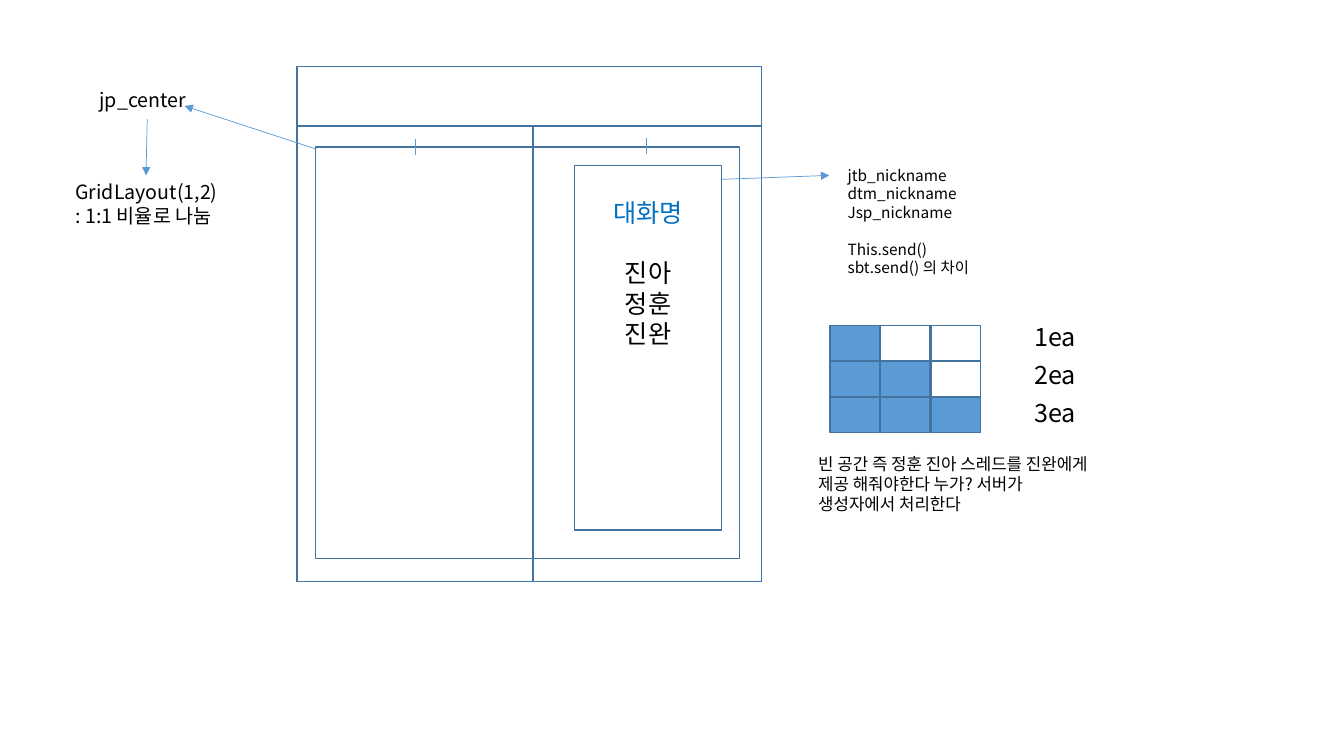
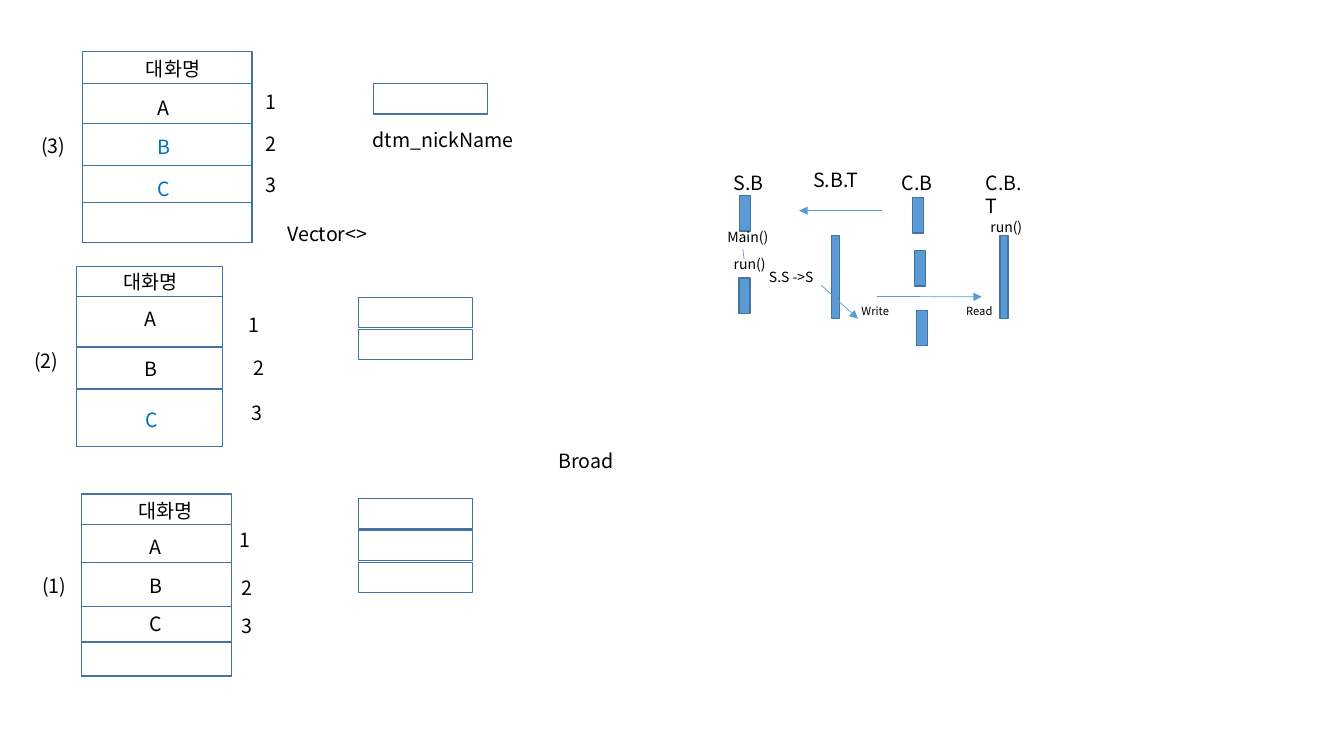
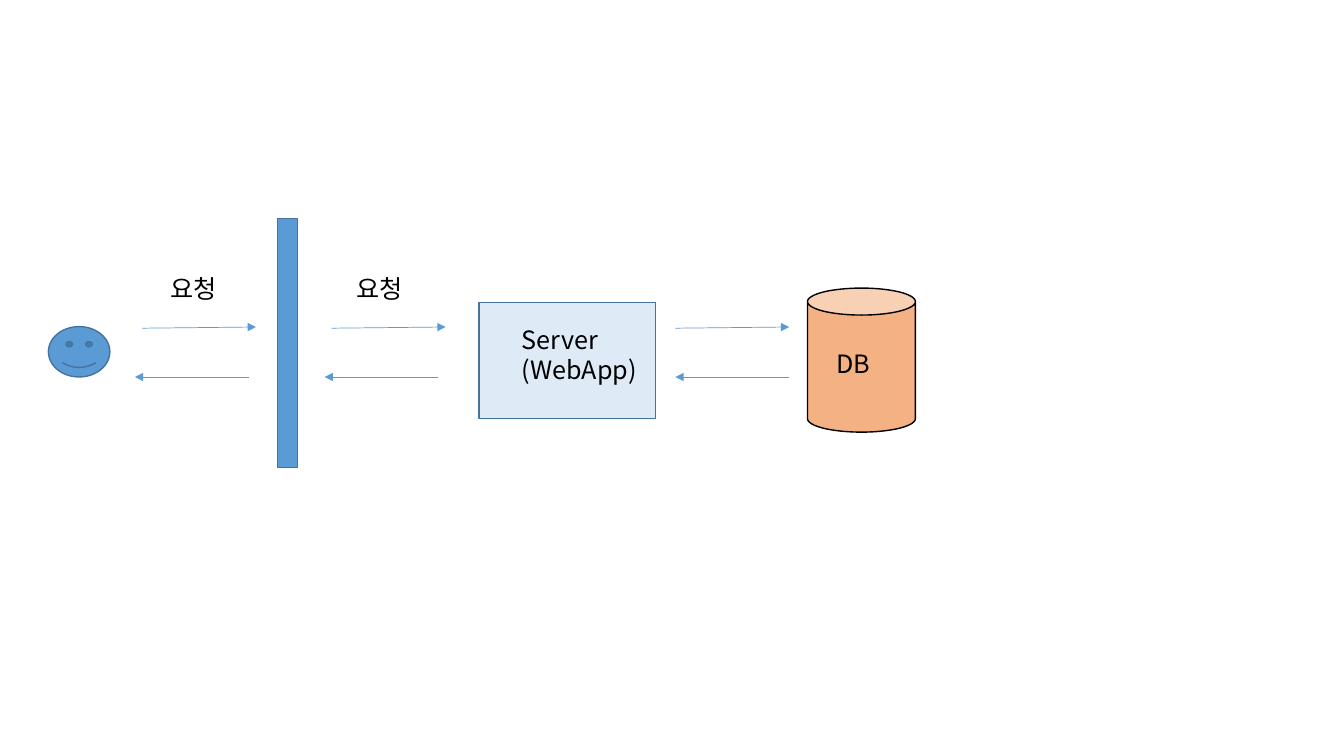
from lxml.etree import SubElement
from pptx import Presentation
from pptx.dml.color import RGBColor
from pptx.enum.shapes import MSO_CONNECTOR, MSO_SHAPE as Preset
from pptx.enum.text import MSO_ANCHOR, PP_ALIGN
from pptx.oxml.ns import qn
from pptx.util import Cm, Pt

FONT = "Noto Sans CJK KR"
BLACK = RGBColor(0x00, 0x00, 0x00)
WHITE = RGBColor(0xFF, 0xFF, 0xFF)
ACCENT = RGBColor(0x5B, 0x9B, 0xD5)
OUTLINE = RGBColor(0x43, 0x73, 0x9E)
HIGHLIGHT = RGBColor(0x00, 0x70, 0xC0)
PALE_BLUE = RGBColor(0xDE, 0xEB, 0xF7)
ORANGE = RGBColor(0xF4, 0xB1, 0x83)
LINE_FACTOR = 1.2

WINDOW_PANES = [
    (7.49, 1.68, 11.71, 12.98),
    (7.49, 3.18, 11.71, 11.48),
    (7.49, 3.18, 5.94, 11.48),
    (13.43, 3.18, 5.77, 11.48),
    (7.95, 3.71, 10.69, 10.36),
]
NICKNAME_PANE = (14.48, 4.17, 3.71, 9.19)
NICKNAMES = "대화명\n\n진아\n정훈\n진완"
WINDOW_NOTES = [
    ("jtb_nickname\ndtm_nickname\nJsp_nickname\n\nThis.send()\nsbt.send() 의 차이", 21.11, 4.06, 7.06, 11),
    ("jp_center", 2.26, 2.08, 3.18, 14),
    ("GridLayout(1,2)\n: 1:1 비율로 나눔", 1.65, 4.42, 4.42, 14),
    ("빈 공간 즉 정훈 진아 스레드를 진완에게 제공 해줘야한다 누가? 서버가 생성자에서 처리한다", 20.37, 11.3, 7.47, 12),
]
WINDOW_ARROWS = [
    (18.19, 4.52, 20.9, 4.42),
    (7.98, 3.76, 4.65, 2.67),
    (3.71, 3.0, 3.68, 4.42),
]
EQUAL_MARKS = [(10.46, 3.51), (16.28, 3.48)]
THREAD_COUNTS = ["1ea", "2ea", "3ea"]

NICKNAME_LISTS = [
    dict(left=2.08, width=4.27, tops=[1.3, 2.11, 3.12, 4.17, 5.11], bottom=6.12,
         label=("(3)", 0.79, 3.25),
         names=[("대화명", 3.43, 1.3), ("A", 3.73, 2.29), ("B", 3.73, 3.28), ("C", 3.73, 4.32)],
         new="BC", numbers=[(6.45, 2.13), (6.45, 3.2), (6.45, 4.24)]),
    dict(left=1.93, width=3.68, tops=[6.71, 7.47, 8.74, 9.8], bottom=11.25,
         label=("(2)", 0.61, 8.66),
         names=[("대화명", 2.87, 6.68), ("A", 3.4, 7.62), ("B", 3.4, 8.86), ("C", 3.42, 10.16)],
         new="C", numbers=[(6.02, 7.77), (6.15, 8.84), (6.1, 9.98)]),
    dict(left=2.06, width=3.78, tops=[12.45, 13.21, 14.17, 15.29, 16.18], bottom=17.04,
         label=("(1)", 0.81, 14.33),
         names=[("대화명", 3.23, 12.45), ("A", 3.53, 13.36), ("B", 3.53, 14.33), ("C", 3.53, 15.29)],
         new="", numbers=[(5.79, 13.18), (5.84, 14.38), (5.84, 15.34)]),
]
VECTORS = [(9.42, 2.11, 1), (9.04, 7.5, 2), (9.04, 12.57, 3)]
THREAD_LABELS = [
    ("dtm_nickName", 9.14, 3.1, 5.31, 14),
    ("Vector<>", 6.99, 5.46, 2.9, 14),
    ("Broad", 13.82, 11.18, 5.31, 14),
    ("S.B", 18.24, 4.17, 1.65, 14),
    ("S.B.T", 20.24, 4.11, 1.65, 14),
    ("C.B", 22.48, 4.17, 1.65, 14),
    ("C.B.T", 24.59, 4.17, 1.65, 14),
    ("Main()", 18.08, 5.64, 1.83, 10),
    ("run()", 18.24, 6.32, 1.83, 10),
    ("S.S ->S", 19.13, 6.65, 1.83, 10),
    ("run()", 24.71, 5.38, 1.83, 10),
    ("Read", 24.1, 7.54, 1.83, 8),
    ("Write", 21.46, 7.54, 1.83, 8),
]
LONG_BARS = [(20.96, 5.94), (25.2, 5.94)]
SHORT_BARS = [(18.64, 4.93), (18.62, 7.01), (22.99, 4.98), (23.04, 6.32), (23.09, 7.82)]
THREAD_ARROWS = [
    (22.23, 5.31, 20.14, 5.31),
    (22.1, 7.47, 24.74, 7.48),
    (20.7, 7.19, 21.62, 8.03),
]
MAIN_TO_RUN = (18.72, 6.27, 18.75, 6.53)

REQUEST_NODES = [
    (Preset.RECTANGLE, 12.07, 7.62, 4.45, 2.92, PALE_BLUE, OUTLINE),
    (Preset.CAN, 20.35, 7.26, 2.72, 3.63, ORANGE, BLACK),
    (Preset.RECTANGLE, 6.99, 5.51, 0.51, 6.27, ACCENT, OUTLINE),
    (Preset.SMILEY_FACE, 1.22, 8.23, 1.55, 1.27, ACCENT, OUTLINE),
]
REQUEST_LABELS = [
    ("Server\n(WebApp)", 12.9, 8.05, 4.39, 18),
    ("DB", 20.83, 8.66, 1.73, 18),
    ("요청", 4.04, 6.76, 2.08, 18),
    ("요청", 8.74, 6.76, 2.08, 18),
]
REQUEST_STARTS = [3.58, 8.36, 17.02]
RESPONSE_STARTS = [6.27, 11.05, 19.89]
TRIP = 2.87


def write(frame, text, size, color=BLACK, align=PP_ALIGN.LEFT):
    sections = [section.split("\n") for section in text.split("\n\n")]
    pitch = Pt(size * LINE_FACTOR)
    frame.word_wrap = True
    frame.text = "\n".join(line for section in sections for line in section)
    section_starts = {sum(map(len, sections[:i])) for i in range(1, len(sections))}
    for index, paragraph in enumerate(frame.paragraphs):
        paragraph.alignment = align
        paragraph.line_spacing = pitch
        if index in section_starts:
            paragraph.space_before = pitch
        for run in paragraph.runs:
            run.font.size = Pt(size)
            run.font.name = FONT
            run.font.color.rgb = color
            SubElement(run.font._element, qn("a:ea"), typeface=FONT)


def add_label(shapes, text, left, top, width, size, color=BLACK):
    lines = text.count("\n") + 1
    height = Cm(0.25) + Pt(size * LINE_FACTOR * lines)
    label = shapes.add_textbox(Cm(left), Cm(top), Cm(width), height)
    write(label.text_frame, text, size, color)


def add_box(shapes, left, top, width, height, fill=None, outline=OUTLINE, preset=Preset.RECTANGLE):
    box = shapes.add_shape(preset, Cm(left), Cm(top), Cm(width), Cm(height))
    box.shadow.inherit = False
    if fill is None:
        box.fill.background()
    else:
        box.fill.solid()
        box.fill.fore_color.rgb = fill
    box.line.color.rgb = outline
    box.line.width = Pt(1)
    return box


def add_line(shapes, x1, y1, x2, y2, arrow=True):
    line = shapes.add_connector(MSO_CONNECTOR.STRAIGHT, Cm(x1), Cm(y1), Cm(x2), Cm(y2))
    line.line.color.rgb = ACCENT
    line.line.width = Pt(0.5)
    if arrow:
        SubElement(line.line._get_or_add_ln(), qn("a:tailEnd"), type="triangle")
    SubElement(line._element.spPr, qn("a:effectLst"))


def build_window(shapes):
    for pane in WINDOW_PANES:
        add_box(shapes, *pane)
    nickname_frame = add_box(shapes, *NICKNAME_PANE).text_frame
    write(nickname_frame, NICKNAMES, 18, align=PP_ALIGN.CENTER)
    nickname_frame.vertical_anchor = MSO_ANCHOR.TOP
    nickname_frame.margin_top = Cm(0.8)
    nickname_frame.paragraphs[0].runs[0].font.color.rgb = HIGHLIGHT
    for note in WINDOW_NOTES:
        add_label(shapes, *note)
    for arrow in WINDOW_ARROWS:
        add_line(shapes, *arrow)
    for x, y in EQUAL_MARKS:
        add_line(shapes, x, y, x, y + 0.4, arrow=False)
    for row, count in enumerate(THREAD_COUNTS):
        for column in range(len(THREAD_COUNTS)):
            fill = ACCENT if column <= row else WHITE
            add_box(shapes, 20.92 + 1.27 * column, 8.2 + 0.9 * row, 1.25, 0.9, fill)
        add_label(shapes, count, 25.81, 7.98 + 0.95 * row, 1.91, 18)


def build_threads(shapes):
    for entry in NICKNAME_LISTS:
        rows = shapes.add_group_shape().shapes
        for top in entry["tops"]:
            add_box(rows, entry["left"], top, entry["width"], entry["bottom"] - top, WHITE)
        for name, left, top in entry["names"]:
            color = HIGHLIGHT if name in entry["new"] else BLACK
            add_label(rows, name, left, top, 2.1, 14, color)
        add_label(shapes, *entry["label"], 1.27, 14)
        for number, (left, top) in enumerate(entry["numbers"], 1):
            add_label(shapes, str(number), left, top, 1.27, 14)
    for left, top, slots in VECTORS:
        for slot in range(slots):
            add_box(shapes, left, top + 0.8 * slot, 2.87, 0.76, WHITE)
    for left, top in LONG_BARS:
        add_box(shapes, left, top, 0.2, 2.08, ACCENT)
    for left, top in SHORT_BARS:
        add_box(shapes, left, top, 0.28, 0.89, ACCENT)
    for label in THREAD_LABELS:
        add_label(shapes, *label)
    for arrow in THREAD_ARROWS:
        add_line(shapes, *arrow)
    add_line(shapes, *MAIN_TO_RUN, arrow=False)


def build_request(shapes):
    for preset, left, top, width, height, fill, outline in REQUEST_NODES:
        add_box(shapes, left, top, width, height, fill, outline, preset)
    for x in REQUEST_STARTS:
        add_line(shapes, x, 8.27, x + TRIP, 8.24)
    for x in RESPONSE_STARTS:
        add_line(shapes, x, 9.5, x - TRIP, 9.5)
    for label in REQUEST_LABELS:
        add_label(shapes, *label)


def main():
    deck = Presentation()
    deck.slide_width, deck.slide_height = Cm(33.87), Cm(19.05)
    blank = deck.slide_layouts[6]
    for build in (build_window, build_threads, build_request):
        build(deck.slides.add_slide(blank).shapes)
    deck.save("out.pptx")


if __name__ == "__main__":
    main()
